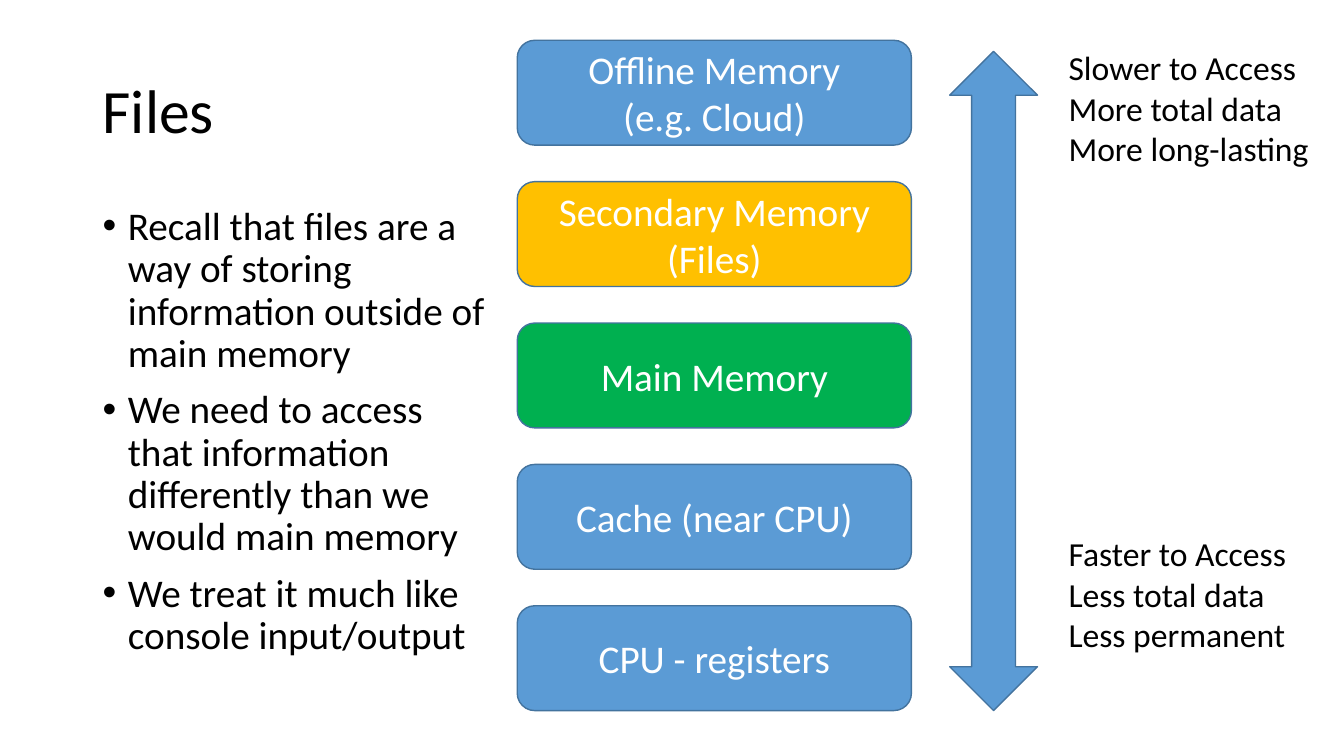
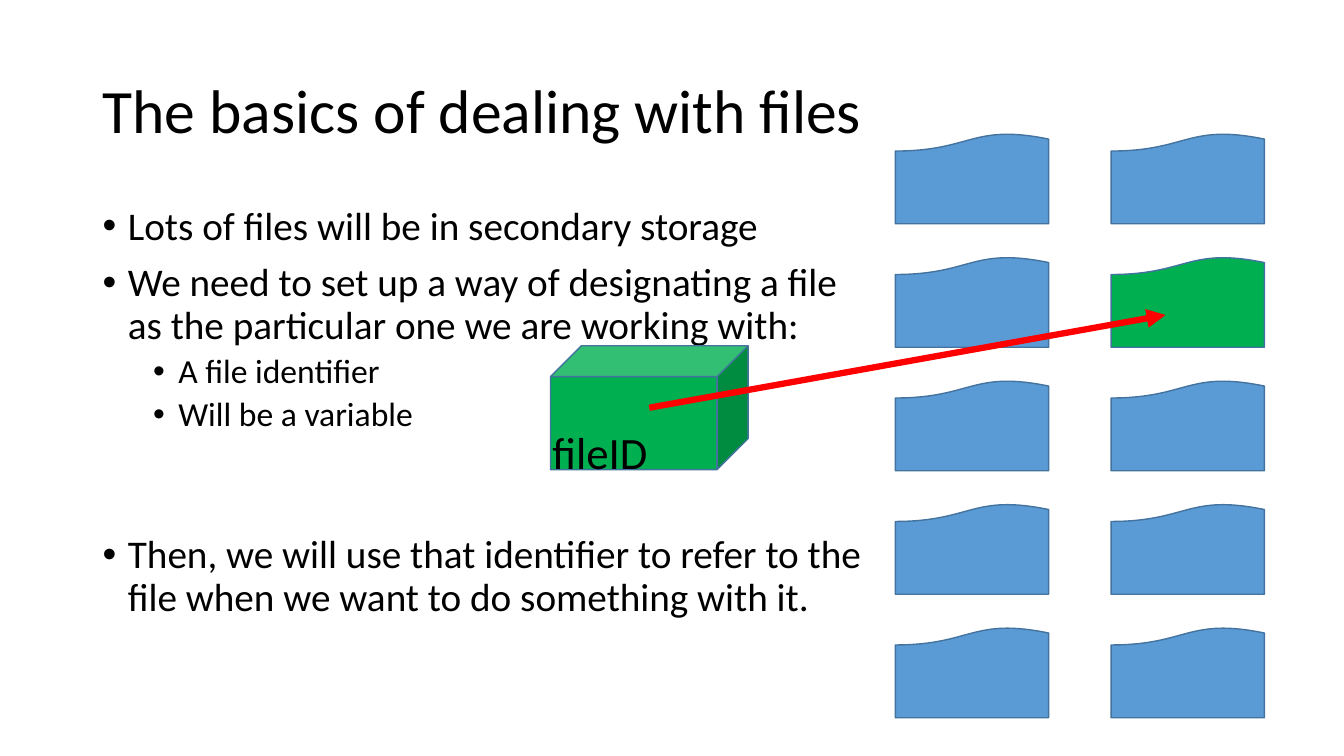
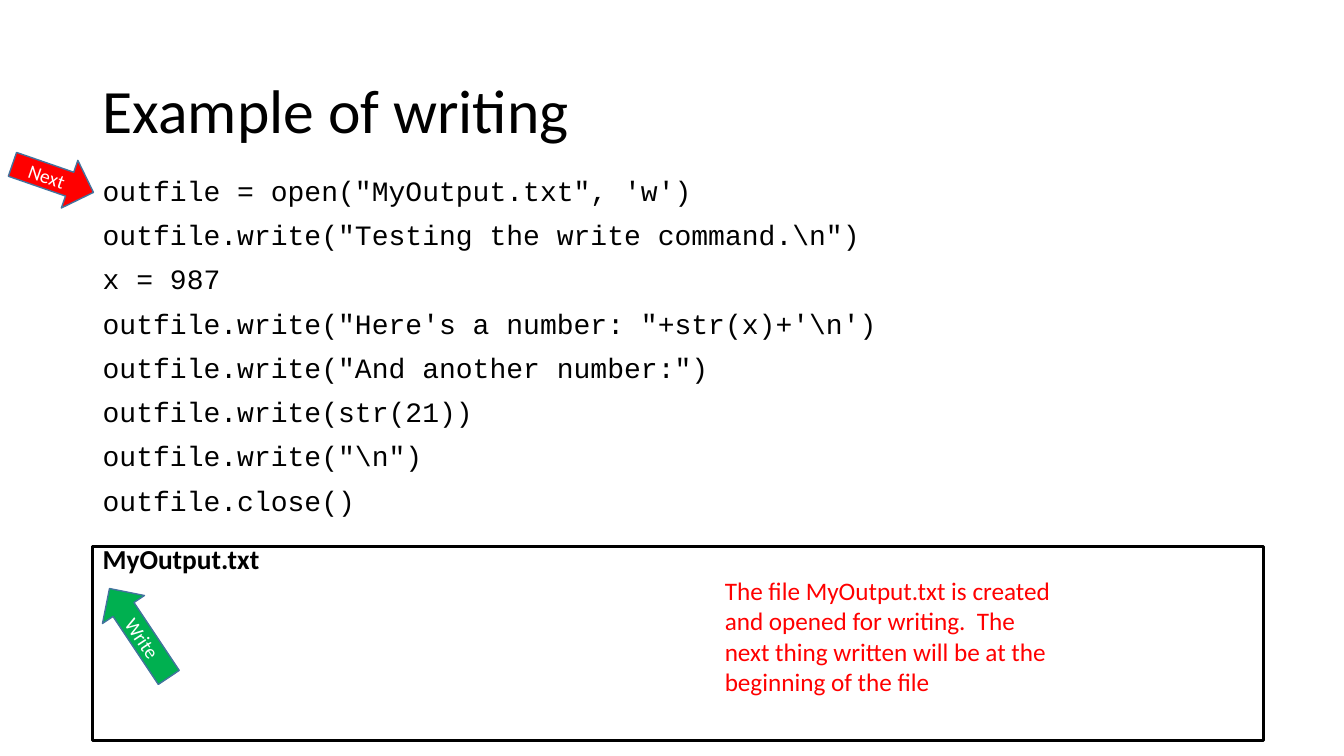
from dataclasses import dataclass

import pptx
import pptx.dml.color
import pptx.enum.shapes
import pptx.enum.text
import pptx.oxml.ns
import pptx.util
from lxml import etree

SHAPES = pptx.enum.shapes.MSO_SHAPE
ALIGN = pptx.enum.text.PP_ALIGN
ANCHOR = pptx.enum.text.MSO_ANCHOR
inches = pptx.util.Inches
points = pptx.util.Pt


@dataclass(frozen=True)
class Theme:
    font: str = "Calibri"
    code_font: str = "Courier New"
    bullet_font: str = "Arial"
    black: str = "000000"
    white: str = "FFFFFF"
    blue: str = "5B9BD5"
    outline: str = "43739E"
    green: str = "00B050"
    gold: str = "FFC000"
    red: str = "FF0000"
    title: float = 44
    variable: float = 32
    body: float = 28
    detail: float = 24
    code: float = 20
    file_name: float = 19.6
    note: float = 18
    marker: float = 14
    tight: float = 0.9


THEME = Theme()
WIDTH, HEIGHT = 13.33, 7.5
MARGIN, CONTENT_WIDTH = 0.92, 11.5

# Content: bullets are (level, text, points of space before)
RECALL = [
    (0, "Recall that files are a way of storing information outside of main memory", 10),
    (0, "We need to access that information differently than we would main memory", 10),
    (0, "We treat it much like console input/output", 10),
]
MEMORY_LEVELS = [
    (["Offline Memory", "(e.g. Cloud)"], THEME.blue),
    (["Secondary Memory (Files)"], THEME.gold),
    (["Main Memory"], THEME.green),
    (["Cache (near CPU)"], THEME.blue),
    (["CPU - registers"], THEME.blue),
]
TRADE_OFFS = [
    (0.42, ["Slower to Access", "More total data", "More long-lasting"]),
    (5.24, ["Faster to Access", "Less total data", "Less permanent"]),
]
BASICS = [
    (0, "Lots of files will be in secondary storage", 10),
    (0, "We need to set up a way of designating a file as the particular one "
        "we are working with:", 10),
    (1, "A file identifier", 5),
    (1, "Will be a variable", 5),
    (0, "Then, we will use that identifier to refer to the file when we want "
        "to do something with it.", 72),
]
FILE_ROWS, FILE_COLUMNS = 5, 2
CHOSEN_FILE = (1, 1)
CODE = [
    "outfile = open(\"MyOutput.txt\", 'w')",
    'outfile.write("Testing the write command.\\n")',
    "x = 987",
    "outfile.write(\"Here's a number: \"+str(x)+'\\n')",
    'outfile.write("And another number:")',
    "outfile.write(str(21))",
    'outfile.write("\\n")',
    "outfile.close()",
]
FILE_NOTE = ("The file MyOutput.txt is created and opened for writing.  The next "
             "thing written will be at the beginning of the file")
# Markers: label, shape, box, fill, rotation
MARKERS = [
    ("Next", SHAPES.RIGHT_ARROW, (0.1, 1.52, 0.85, 0.5), THEME.red, 19.1),
    ("Write", SHAPES.LEFT_ARROW, (0.85, 6.03, 1.06, 0.5), THEME.green, 56.3),
]


# Shared helpers
def rgb(value):
    return pptx.dml.color.RGBColor.from_string(value)


def write(shape, lines, size, color=THEME.black, font=THEME.font, bold=False,
          align=ALIGN.LEFT, anchor=ANCHOR.TOP, spacing=None, before=None):
    frame = shape.text_frame
    frame.word_wrap = True
    frame.vertical_anchor = anchor
    for index, line in enumerate(lines):
        paragraph = frame.paragraphs[0] if index == 0 else frame.add_paragraph()
        paragraph.text = line
        paragraph.alignment = align
        paragraph.line_spacing = spacing
        if before is not None:
            paragraph.space_before = points(before)
        paragraph.font.name = font
        paragraph.font.size = points(size)
        paragraph.font.bold = bold
        paragraph.font.color.rgb = rgb(color)


def add_text(slide, box, lines, size, **style):
    shape = slide.shapes.add_textbox(*map(inches, box))
    write(shape, lines, size, **style)


def add_bullets(slide, box, bullets):
    frame = slide.shapes.add_textbox(*map(inches, box)).text_frame
    frame.word_wrap = True
    for index, (level, text, before) in enumerate(bullets):
        paragraph = frame.paragraphs[0] if index == 0 else frame.add_paragraph()
        paragraph.text = text
        paragraph.level = level
        properties = paragraph._p.get_or_add_pPr()
        properties.set("marL", str(inches(0.25 + 0.5 * level)))
        properties.set("indent", str(inches(-0.25)))
        etree.SubElement(properties, pptx.oxml.ns.qn("a:buFont"), typeface=THEME.bullet_font)
        etree.SubElement(properties, pptx.oxml.ns.qn("a:buChar"), char="•")
        paragraph.line_spacing = THEME.tight
        paragraph.space_before = points(before)
        paragraph.font.name = THEME.font
        paragraph.font.size = points(THEME.detail if level else THEME.body)
        paragraph.font.color.rgb = rgb(THEME.black)


def add_block(slide, kind, box, fill=THEME.blue, line=THEME.outline, weight=1, rotation=0):
    shape = slide.shapes.add_shape(kind, *map(inches, box))
    shape.shadow.inherit = False
    shape.rotation = rotation
    if fill:
        shape.fill.solid()
        shape.fill.fore_color.rgb = rgb(fill)
    else:
        shape.fill.background()
    shape.line.color.rgb = rgb(line)
    shape.line.width = points(weight)
    return shape


def add_label_block(slide, kind, box, lines, size, fill, rotation=0):
    shape = add_block(slide, kind, box, fill, rotation=rotation)
    write(shape, lines, size, color=THEME.white, align=ALIGN.CENTER, anchor=ANCHOR.MIDDLE)
    return shape


def add_marker(slide, label, kind, box, fill, rotation):
    frame = add_label_block(slide, kind, box, [label], THEME.marker, fill, rotation).text_frame
    frame.margin_left = frame.margin_right = frame.margin_top = frame.margin_bottom = 0


def add_arrow(slide, start, end, color, weight):
    arrow = slide.shapes.add_connector(
        pptx.enum.shapes.MSO_CONNECTOR.STRAIGHT, *map(inches, start + end))
    arrow.line.color.rgb = rgb(color)
    arrow.line.width = points(weight)
    etree.SubElement(arrow.line._get_or_add_ln(), pptx.oxml.ns.qn("a:tailEnd"), type="triangle")
    etree.SubElement(arrow._element.spPr, pptx.oxml.ns.qn("a:effectLst"))


def center(box):
    left, top, width, height = box
    return left + width / 2, top + height / 2


def add_titled_slide(presentation, title):
    slide = presentation.slides.add_slide(presentation.slide_layouts[6])
    add_text(slide, (MARGIN, 0.4, CONTENT_WIDTH, 1.45), [title], THEME.title,
             anchor=ANCHOR.MIDDLE, spacing=THEME.tight)
    return slide


# Slides
def build_memory_slide(presentation):
    slide = add_titled_slide(presentation, "Files")
    add_bullets(slide, (MARGIN, 2, 4.09, 4.76), RECALL)

    # Memory hierarchy, evenly spaced from top to bottom
    first, last = 0.4, 6.01
    step = (last - first) / (len(MEMORY_LEVELS) - 1)
    for row, (lines, fill) in enumerate(MEMORY_LEVELS):
        add_label_block(slide, SHAPES.ROUNDED_RECTANGLE,
                        (5.13, first + row * step, 3.91, 1.04), lines, THEME.body, fill)

    # Trade-off scale
    for top, lines in TRADE_OFFS:
        add_text(slide, (10.5, top, 2.7, 1.31), lines, THEME.detail)
    add_block(slide, SHAPES.UP_DOWN_ARROW, (9.42, 0.51, 0.87, 6.54))


def build_basics_slide(presentation):
    slide = add_titled_slide(presentation, "The basics of dealing with files")
    add_bullets(slide, (MARGIN, 2, 7.78, 4.76), BASICS)

    # Grid of stored files
    first, last = 1.32, 6.22
    step = (last - first) / (FILE_ROWS - 1)
    files = {(row, column): (8.88 + column * 2.14, first + row * step, 1.52, 0.9)
             for row in range(FILE_ROWS) for column in range(FILE_COLUMNS)}
    for cell, box in files.items():
        fill = THEME.green if cell == CHOSEN_FILE else THEME.blue
        add_block(slide, SHAPES.FLOWCHART_DOCUMENT, box, fill, rotation=180)

    # Variable that points to the chosen file
    variable = (5.46, 3.43, 1.96, 1.23)
    add_block(slide, SHAPES.CUBE, variable, THEME.green)
    add_text(slide, (5.38, 4.16, 1.79, 0.82), ["fileID"], THEME.variable)
    left, top, width, height = files[CHOSEN_FILE]
    add_arrow(slide, center(variable), (left + 0.54, top + 0.58), THEME.red, 4.5)


def build_writing_slide(presentation):
    slide = add_titled_slide(presentation, "Example of writing")
    add_text(slide, (MARGIN, 1.71, CONTENT_WIDTH, 3.56), CODE, THEME.code,
             font=THEME.code_font, spacing=THEME.tight, before=10)

    # Contents of the file
    output = add_block(slide, SHAPES.RECTANGLE, (MARGIN, 5.42, 11.61, 1.93),
                       fill=None, line=THEME.black, weight=2)
    write(output, ["MyOutput.txt"], THEME.file_name, bold=True, spacing=0.7, before=10)
    add_text(slide, (7.09, 5.66, 3.5, 1.31), [FILE_NOTE], THEME.note, color=THEME.red)

    # Current positions in the program and in the file
    for marker in MARKERS:
        add_marker(slide, *marker)


def main():
    presentation = pptx.Presentation()
    presentation.slide_width = inches(WIDTH)
    presentation.slide_height = inches(HEIGHT)
    build_memory_slide(presentation)
    build_basics_slide(presentation)
    build_writing_slide(presentation)
    presentation.save("out.pptx")


if __name__ == "__main__":
    main()
